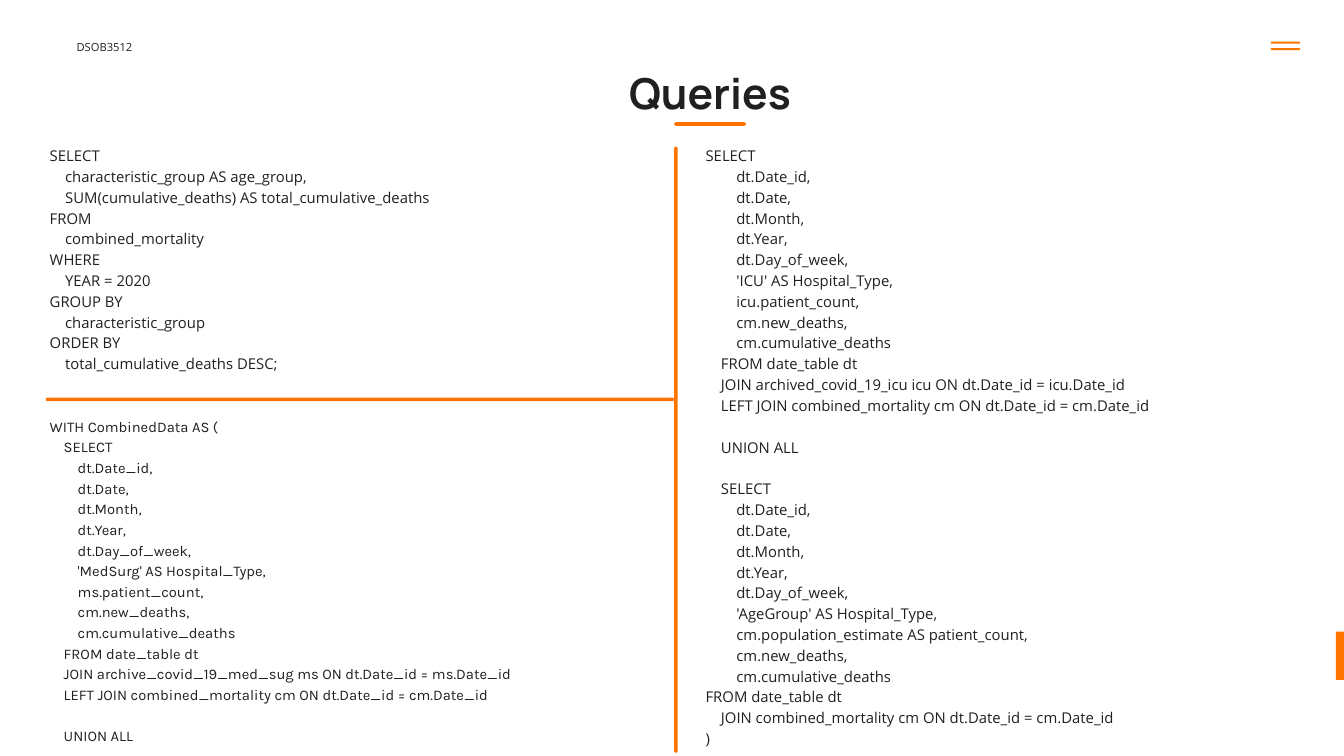
from pptx import Presentation
from pptx import util as u
from pptx.dml.color import RGBColor
from pptx.enum import shapes, text

ORANGE, INK = "FF7300", "1F2020"
LEFT, RIGHT = 53.3, 756  # left edges of the two code columns

DATE_COLUMNS = """\
        dt.Date_id,
        dt.Date,
        dt.Month,
        dt.Year,
        dt.Day_of_week,"""

DEATH_COLUMNS = """\
        cm.new_deaths,
        cm.cumulative_deaths"""

AGE_QUERY = """\
SELECT
    characteristic_group AS age_group,
    SUM(cumulative_deaths) AS total_cumulative_deaths
FROM
    combined_mortality
WHERE
    YEAR = 2020
GROUP BY
    characteristic_group
ORDER BY
    total_cumulative_deaths DESC;"""

MEDSURG_QUERY = f"""\
WITH CombinedData AS (
    SELECT
{DATE_COLUMNS}
        'MedSurg' AS Hospital_Type,
        ms.patient_count,
{DEATH_COLUMNS}
    FROM date_table dt
    JOIN archive_covid_19_med_sug ms ON dt.Date_id = ms.Date_id
    LEFT JOIN combined_mortality cm ON dt.Date_id = cm.Date_id

    UNION ALL"""

UNION_QUERY = f"""\
SELECT
{DATE_COLUMNS}
        'ICU' AS Hospital_Type,
        icu.patient_count,
{DEATH_COLUMNS}
    FROM date_table dt
    JOIN archived_covid_19_icu icu ON dt.Date_id = icu.Date_id
    LEFT JOIN combined_mortality cm ON dt.Date_id = cm.Date_id

    UNION ALL

    SELECT
{DATE_COLUMNS}
        'AgeGroup' AS Hospital_Type,
        cm.population_estimate AS patient_count,
{DEATH_COLUMNS}
FROM date_table dt
    JOIN combined_mortality cm ON dt.Date_id = cm.Date_id
)"""


def color(value):
    return RGBColor.from_string(value)


def place(shape, left, top, width, height):
    shape.left, shape.top = u.Pt(left), u.Pt(top)
    shape.width, shape.height = u.Pt(width), u.Pt(height)


def write(frame, content, font="Open Sans", size=15.9, leading=22.3,
          bold=False, align=text.PP_ALIGN.LEFT):
    """Write one paragraph per line; an empty line becomes space before the next."""
    frame.word_wrap = True
    frame.auto_size = text.MSO_AUTO_SIZE.NONE
    frame.vertical_anchor = text.MSO_ANCHOR.TOP
    frame.margin_left = frame.margin_top = 0
    frame.margin_right = frame.margin_bottom = 0
    paragraph, gap = frame.paragraphs[0], 0
    for number, line in enumerate(content.split("\n")):
        if not line:
            gap += leading
            continue
        if number:
            paragraph = frame.add_paragraph()
        paragraph.alignment = align
        paragraph.line_spacing = u.Pt(leading)
        paragraph.space_before = u.Pt(gap)
        run = paragraph.add_run()
        run.text = line
        run.font.name, run.font.size = font, u.Pt(size)
        run.font.bold = bold
        run.font.color.rgb = color(INK)
        gap = 0


class QuerySlide:
    def __init__(self, presentation):
        self.slide = presentation.slides.add_slide(presentation.slide_layouts[5])

    def title(self, content, box):
        shape = self.slide.shapes.title
        place(shape, *box)
        write(shape.text_frame, content, font="Manrope", size=45.6, leading=53.4,
              bold=True, align=text.PP_ALIGN.CENTER)

    def text(self, content, box, **style):
        shape = self.slide.shapes.add_textbox(*map(u.Pt, box))
        write(shape.text_frame, content, **style)

    def bar(self, box, rounded=False):
        kind = shapes.MSO_SHAPE.ROUNDED_RECTANGLE if rounded else shapes.MSO_SHAPE.RECTANGLE
        shape = self.slide.shapes.add_shape(kind, *map(u.Pt, box))
        if rounded:
            shape.adjustments[0] = 0.5
        shape.shadow.inherit = False
        shape.fill.solid()
        shape.fill.fore_color.rgb = color(ORANGE)
        shape.line.fill.background()


def main():
    presentation = Presentation()
    presentation.slide_width, presentation.slide_height = u.Pt(1440), u.Pt(810)
    page = QuerySlide(presentation)

    # Menu mark and edge tab
    for top in (44.7, 51.6):
        page.bar((1361.7, top, 31.3, 2.2))
    page.bar((1431.4, 676.8, 8.6, 51.8))

    # Header
    page.text("DSOB3512", (82, 41, 121.7, 16), size=12, leading=16.8)
    page.title("Queries", (103, 73.4, 1315.4, 57.6))
    page.bar((722.4, 131, 76.8, 3.8), rounded=True)

    # Queries
    justify = text.PP_ALIGN.JUSTIFY
    page.text(AGE_QUERY, (LEFT, 154, 654.5, 260.6), align=justify)
    page.text(MEDSURG_QUERY, (LEFT, 444.2, 638.6, 360), font="Karla", size=15.8, leading=22.1)
    page.text(UNION_QUERY, (RIGHT, 154, 617, 646), align=justify)

    # Dividers
    page.bar((49, 426, 673.2, 3.8), rounded=True)
    page.bar((722.3, 157.1, 3.8, 649.4), rounded=True)

    presentation.save("out.pptx")


if __name__ == "__main__":
    main()
